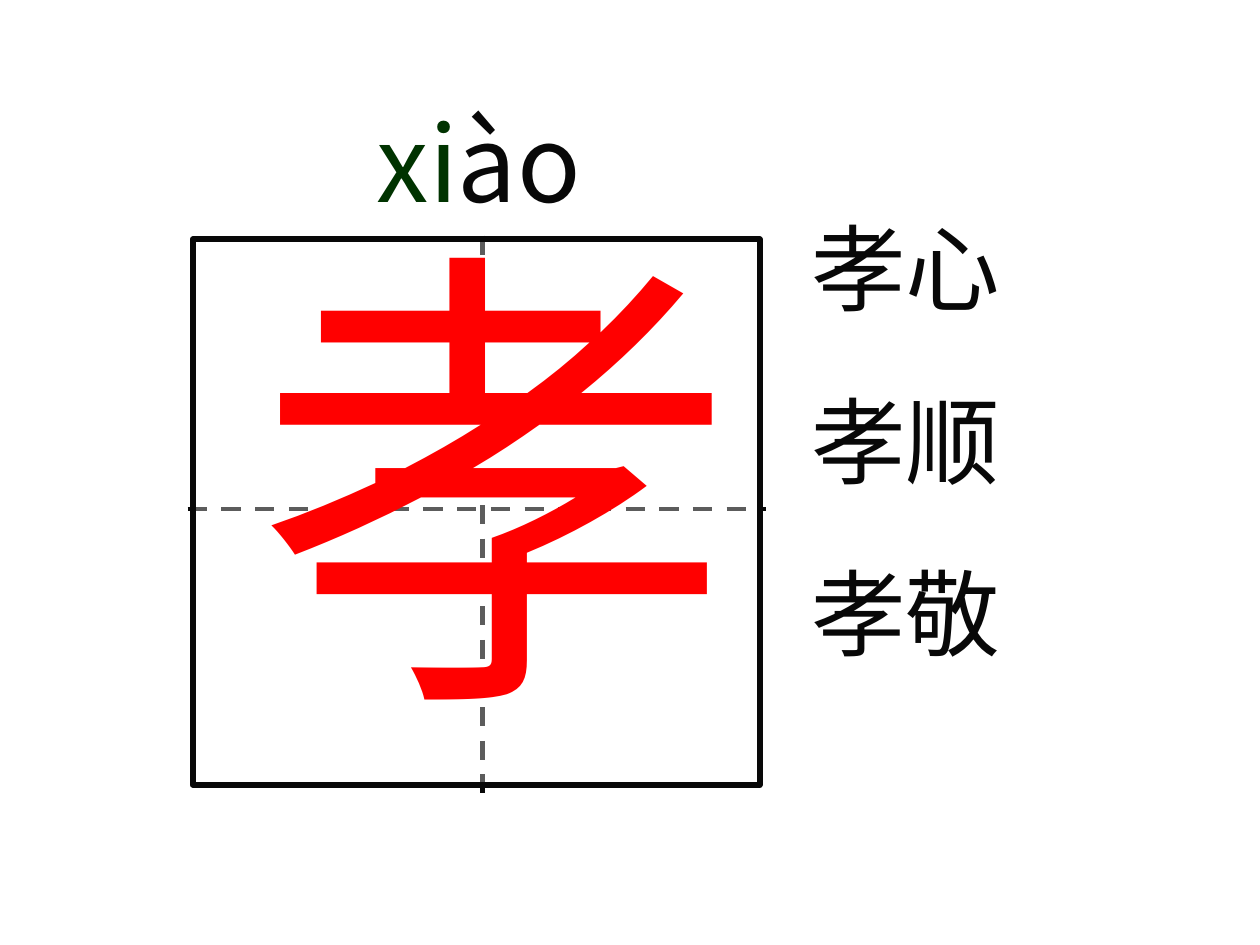
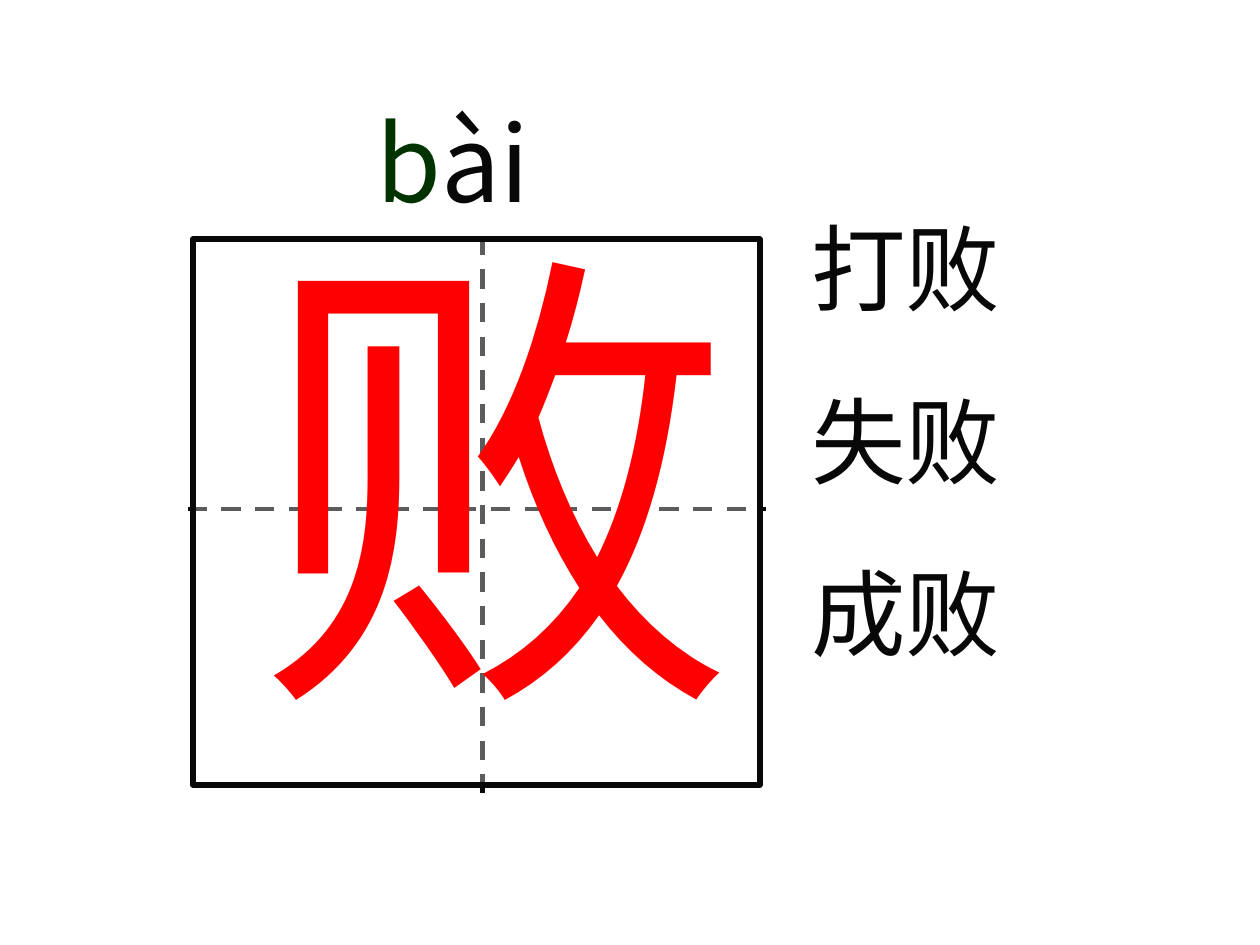
from lxml import etree
from pptx import Presentation
from pptx import util as u
from pptx.dml.color import RGBColor
from pptx.enum import dml, shapes, text
from pptx.oxml.ns import qn

# Each lesson: character, pinyin as (initial part, final part), example words
LESSONS = [
    ("孝", ("xi", "ào"), ("孝心", "孝顺", "孝敬")),
    ("败", ("b", "ài"), ("打败", "失败", "成败")),
]

COLORS = {"ink": "080808", "initial": "003300", "character": "FF0000", "paper": "FFFFFF"}
SANS, SERIF = "Noto Sans CJK SC", "Times New Roman"
STYLES = {
    "character": {"size": u.Pt(275), "name": SANS},
    "pinyin": {"size": u.Pt(60), "name": SANS},
    "words": {"size": u.Pt(54), "name": SERIF},
}
BOXES = {  # left, top, width, height in inches
    "frame": (1.53, 1.9, 4.5, 4.33),
    "character": (1.93, 1.39, 4.02, 4.69),
    "pinyin": (2.89, 0.72, 2.52, 1.1),
    "words": (6.34, 1.62, 3.46, 3.74),
}
GUIDES = [(1.49, 4.04, 6.08, 4.04), (3.83, 1.87, 3.83, 6.29)]
WORD_GAP = u.Pt(33.8)


def inches(values):
    return [u.Inches(v) for v in values]


def rgb(name):
    return RGBColor.from_string(COLORS[name])


def place(sp, box):
    sp.left, sp.top, sp.width, sp.height = inches(BOXES[box])


def fill_paper(sp, opacity):
    """Fill with white at the given opacity in percent."""
    sp.fill.solid()
    sp.fill.fore_color.rgb = rgb("paper")
    color = sp.fill._xPr.find(qn("a:solidFill"))[0]
    etree.SubElement(color, qn("a:alpha"), val=str(opacity * 1000))


def set_line(sp, width, dash=None):
    sp.line.color.rgb = rgb("ink")
    sp.line.width = u.Pt(width)
    if dash:
        sp.line.dash_style = dash


def set_frame(sp, wrap=True):
    tf = sp.text_frame
    options = {
        "word_wrap": wrap,
        "auto_size": text.MSO_AUTO_SIZE.SHAPE_TO_FIT_TEXT,
        "vertical_anchor": text.MSO_ANCHOR.TOP,
    }
    for key, value in options.items():
        setattr(tf, key, value)
    return tf


def add_run(p, words, style, color):
    r = p.add_run()
    r.text = words
    for key, value in STYLES[style].items():
        setattr(r.font, key, value)
    r.font.color.rgb = rgb(color)
    etree.SubElement(r.font._element, qn("a:ea"), typeface=SANS)


def add_writing_grid(slide):
    group = slide.shapes.add_group_shape()
    for guide in GUIDES:
        line = group.shapes.add_connector(shapes.MSO_CONNECTOR.STRAIGHT, *inches(guide))
        set_line(line, 2.75, dml.MSO_LINE.DASH)
        etree.SubElement(line._element.spPr, qn("a:effectLst"))
    frame = group.shapes.add_shape(shapes.MSO_SHAPE.RECTANGLE, *inches(BOXES["frame"]))
    frame.shadow.inherit = False
    fill_paper(frame, 34)
    set_line(frame, 3.25)


def add_character(slide, character):
    sp = slide.shapes.add_textbox(*inches(BOXES["character"]))
    add_run(set_frame(sp, wrap=False).paragraphs[0], character, "character", "character")


def fill_pinyin(sp, parts):
    place(sp, "pinyin")
    p = set_frame(sp).paragraphs[0]
    p.alignment = text.PP_ALIGN.LEFT
    for part, color in zip(parts, ("initial", "ink")):
        add_run(p, part, "pinyin", color)


def fill_words(sp, words):
    place(sp, "words")
    fill_paper(sp, 56)
    tf = set_frame(sp)
    for i, word in enumerate(words):
        p = tf.add_paragraph() if i else tf.paragraphs[0]
        pPr = p._p.get_or_add_pPr()
        pPr.set("marL", "0")
        pPr.set("indent", "0")
        etree.SubElement(pPr, qn("a:buNone"))
        p.space_before = WORD_GAP if i else u.Pt(0)
        add_run(p, word, "words", "ink")


def main():
    prs = Presentation()
    prs.slide_width, prs.slide_height = inches((10, 7.5))
    for character, pinyin, words in LESSONS:
        slide = prs.slides.add_slide(prs.slide_layouts[1])
        add_writing_grid(slide)
        add_character(slide, character)
        fill_pinyin(slide.shapes.title, pinyin)
        fill_words(slide.placeholders[1], words)
    prs.save("out.pptx")


if __name__ == "__main__":
    main()
